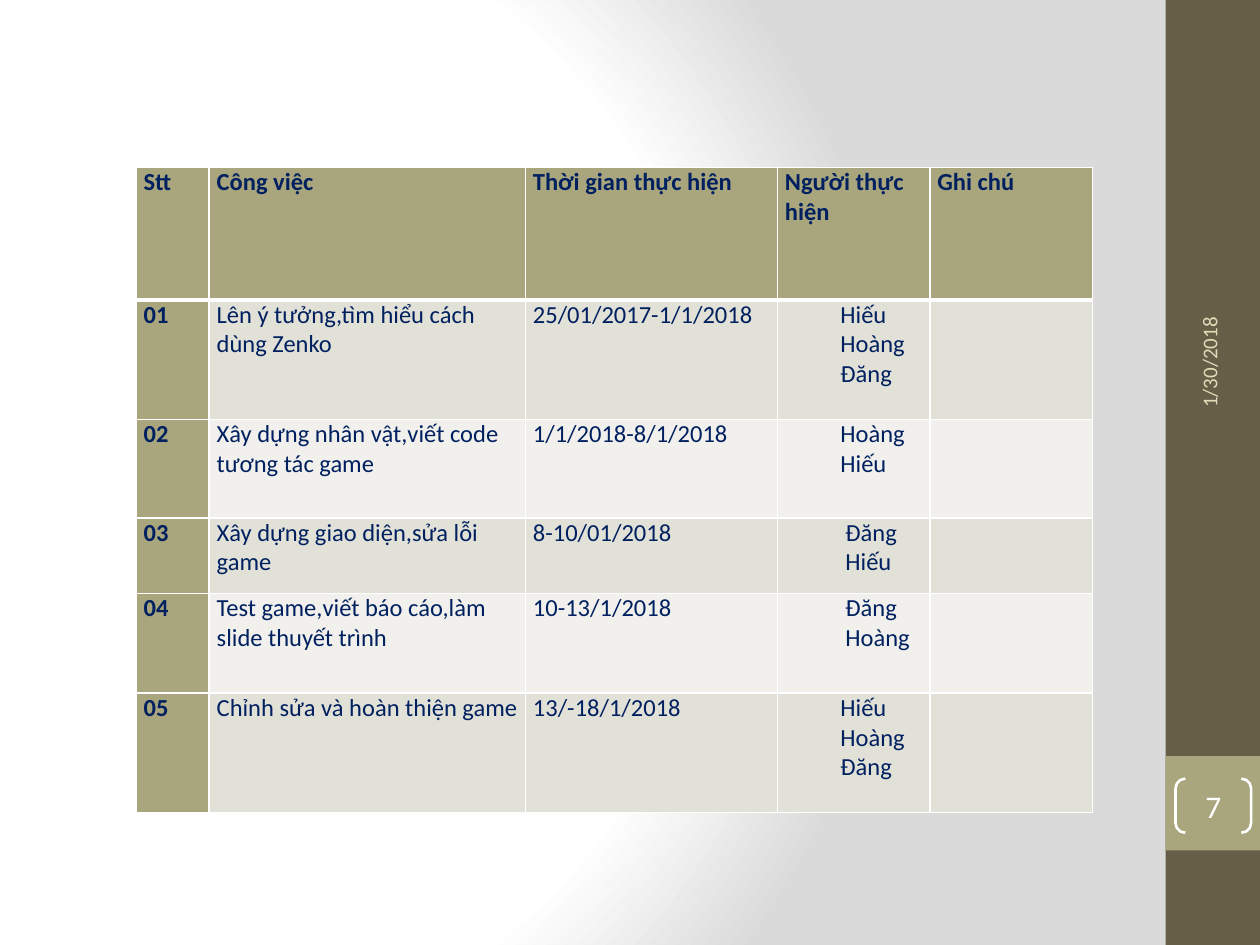
"""Build the project schedule slide with its task table and dated sidebar."""
import dataclasses

import pptx
import pptx.dml.color
import pptx.enum.shapes
import pptx.enum.text
import pptx.oxml
import pptx.oxml.ns
import pptx.util
from pptx.util import Inches


@dataclasses.dataclass(frozen=True)
class Theme:
    font: str = "Calibri"
    navy: str = "002060"
    olive: str = "A9A57C"
    brown: str = "675E47"
    cream: str = "DFDCB7"
    white: str = "FFFFFF"
    gray: str = "DADADA"
    bands: tuple = ("E2E1D7", "F1F0EC")
    table_size: int = 14
    date_size: int = 12
    number_size: int = 18


theme = Theme()
namespace = pptx.oxml.ns.nsdecls("a")
rgb = pptx.dml.color.RGBColor.from_string


def format_text(frame, size, color, bold=False):
    for para in frame.paragraphs:
        for span in para.runs:
            span.font.name = theme.font
            span.font.size = pptx.util.Pt(size)
            span.font.bold = bold
            span.font.color.rgb = rgb(color)


def add_borders(cell, widths):
    properties = cell._tc.get_or_add_tcPr()
    for position, (side, width) in enumerate(widths.items()):
        border = pptx.oxml.parse_xml(
            f'<a:ln{side} {namespace} w="{pptx.util.Pt(width)}"><a:solidFill>'
            f'<a:srgbClr val="{theme.white}"/></a:solidFill></a:ln{side}>'
        )
        properties.insert(position, border)


deck = pptx.Presentation()
deck.slide_width, deck.slide_height = Inches(10), Inches(7.5)
page = deck.slides.add_slide(deck.slide_layouts[6])

page.background.fill.solid()
background = page.element.find(".//" + pptx.oxml.ns.qn("p:bgPr"))
stops = "".join(
    f'<a:gs pos="{percent * 1000}"><a:srgbClr val="{color}"/></a:gs>'
    for percent, color in ((0, theme.white), (75, theme.white), (100, theme.gray))
)
gradient = pptx.oxml.parse_xml(
    f'<a:gradFill {namespace} rotWithShape="1"><a:gsLst>{stops}</a:gsLst><a:path path="circle">'
    '<a:fillToRect l="20000" t="50000" r="100000" b="50000"/></a:path></a:gradFill>'
)
background.replace(background[0], gradient)

for top, height, color in ((0, 7.5, theme.brown), (6, 0.75, theme.olive)):
    panel = page.shapes.add_shape(
        pptx.enum.shapes.MSO_SHAPE.RECTANGLE, Inches(9.25), Inches(top), Inches(0.75), Inches(height)
    )
    panel.shadow.inherit = False
    panel.fill.solid()
    panel.fill.fore_color.rgb = rgb(color)
    panel.line.fill.background()

rows = (
    ("Stt", "Công việc", "Thời gian thực hiện", "Người thực hiện", "Ghi chú"),
    ("01", "Lên ý tưởng,tìm hiểu cách dùng Zenko", "25/01/2017-1/1/2018", "Hiếu\nHoàng\nĐăng", ""),
    ("02", "Xây dựng nhân vật,viết code tương tác game", "1/1/2018-8/1/2018", "Hoàng\nHiếu", ""),
    ("03", "Xây dựng giao diện,sửa lỗi game", "8-10/01/2018", "Đăng\nHiếu", ""),
    ("04", "Test game,viết báo cáo,làm slide thuyết trình", "10-13/1/2018", "Đăng\nHoàng", ""),
    ("05", "Chỉnh sửa và hoàn thiện game", "13/-18/1/2018", "Hiếu\nHoàng\nĐăng", ""),
)
column_widths = (0.58, 2.51, 2, 1.21, 1.29)
row_heights = (1.05, 0.95, 0.78, 0.6, 0.79, 0.95)
name_indents = (0, 0.44, 0.44, 0.48, 0.48, 0.44)

schedule = page.shapes.add_table(
    len(rows), len(column_widths), Inches(1.08), Inches(1.33),
    Inches(sum(column_widths)), Inches(sum(row_heights)),
).table
for column, width in zip(schedule.columns, column_widths):
    column.width = Inches(width)
for row, height in zip(schedule.rows, row_heights):
    row.height = Inches(height)

for row_index, texts in enumerate(rows):
    for column_index, text in enumerate(texts):
        cell = schedule.cell(row_index, column_index)
        heading = row_index == 0 or column_index == 0
        cell.margin_left = cell.margin_right = Inches(0.06)
        cell.margin_top = cell.margin_bottom = 0
        cell.fill.solid()
        cell.fill.fore_color.rgb = rgb(theme.olive if heading else theme.bands[(row_index - 1) % 2])
        top_width = 3 if row_index == 1 else 1
        bottom_width = 3 if row_index == 0 else 1
        add_borders(cell, {"L": 1, "R": 1, "T": top_width, "B": bottom_width})
        cell.text_frame.text = text
        format_text(cell.text_frame, theme.table_size, theme.navy, heading)
        if column_index == 3:
            for para in cell.text_frame.paragraphs:
                para._p.get_or_add_pPr().set("marL", str(Inches(name_indents[row_index])))

date_box = page.shapes.add_textbox(Inches(8.26), Inches(1.8), Inches(2.67), Inches(0.4))
date_box.rotation = 270
date_box.text_frame.word_wrap = True
date_box.text_frame.vertical_anchor = pptx.enum.text.MSO_ANCHOR.MIDDLE
date_box.text_frame.text = "1/30/2018"
format_text(date_box.text_frame, theme.date_size, theme.cream)

number_box = page.shapes.add_shape(
    pptx.enum.shapes.MSO_SHAPE.DOUBLE_BRACKET, Inches(9.33), Inches(6.18), Inches(0.6), Inches(0.43)
)
number_box.adjustments[0] = 0.18
number_box.shadow.inherit = False
number_box.fill.background()
number_box.line.color.rgb = rgb(theme.white)
number_box.line.width = pptx.util.Pt(1.5)
frame = number_box.text_frame
frame.margin_left = frame.margin_right = frame.margin_top = frame.margin_bottom = 0
frame.vertical_anchor = pptx.enum.text.MSO_ANCHOR.MIDDLE
frame.text = "7"
frame.paragraphs[0].alignment = pptx.enum.text.PP_ALIGN.CENTER
format_text(frame, theme.number_size, theme.white)

deck.save("out.pptx")
